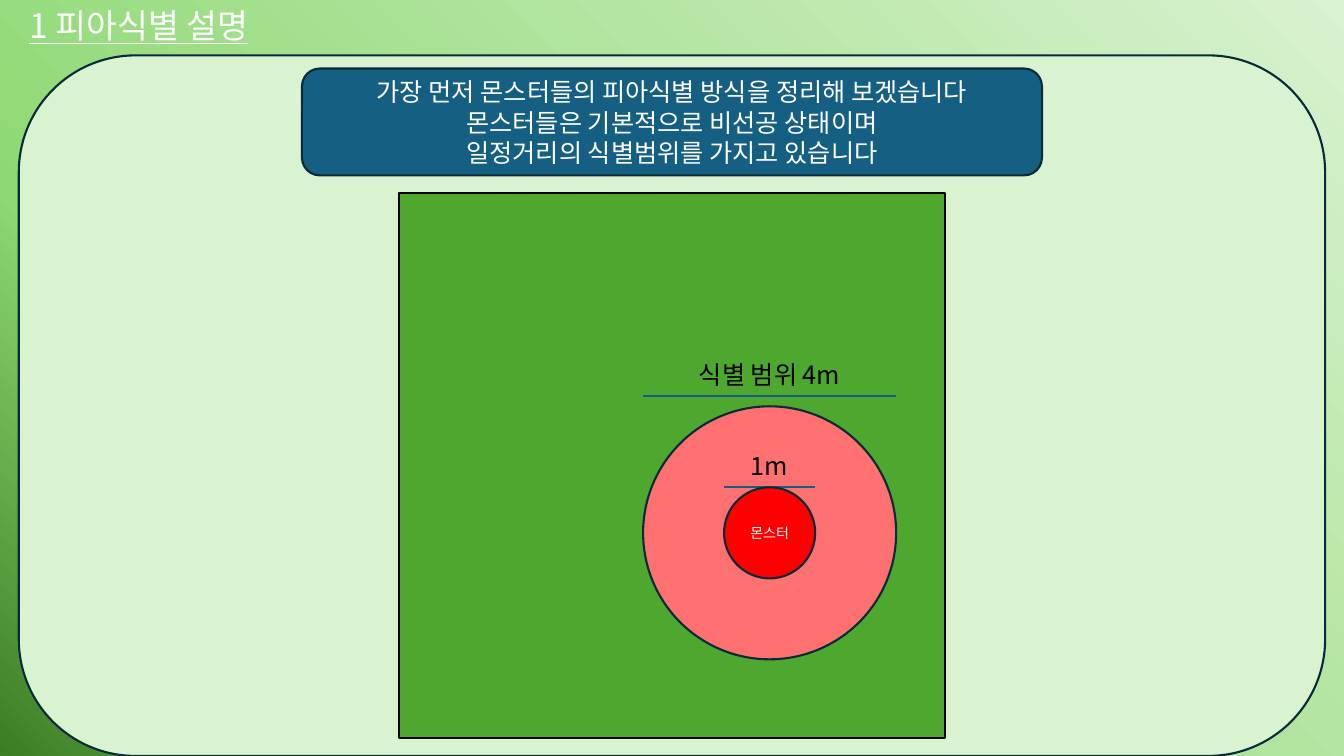
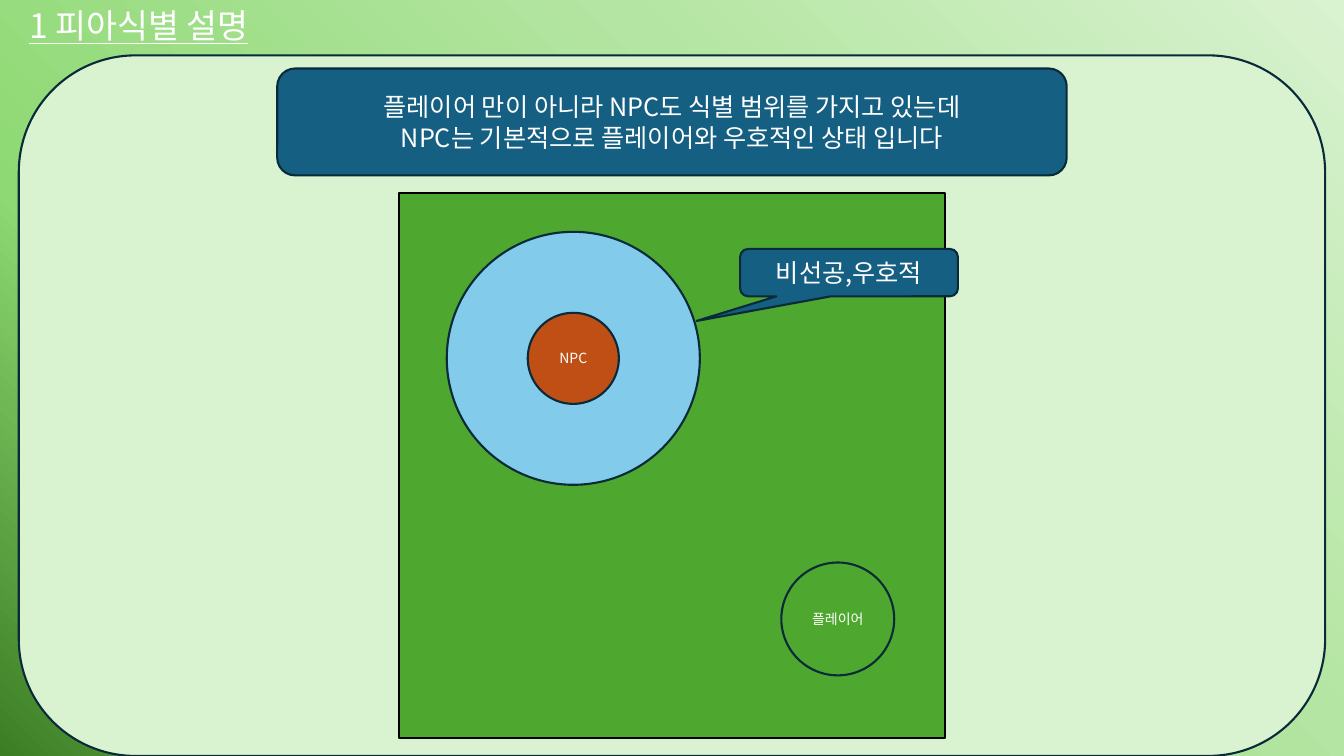
from copy import deepcopy
from dataclasses import dataclass

from lxml import etree
from pptx import Presentation
from pptx.dml.color import RGBColor
from pptx.enum.shapes import MSO_CONNECTOR, MSO_SHAPE
from pptx.enum.text import MSO_ANCHOR, PP_ALIGN
from pptx.oxml.ns import qn
from pptx.util import Inches, Pt

RECT, ROUND, OVAL = MSO_SHAPE.RECTANGLE, MSO_SHAPE.ROUNDED_RECTANGLE, MSO_SHAPE.OVAL
CALLOUT = MSO_SHAPE.ROUNDED_RECTANGULAR_CALLOUT
STRAIGHT = MSO_CONNECTOR.STRAIGHT
LEFT, CENTER = PP_ALIGN.LEFT, PP_ALIGN.CENTER
TOP, MIDDLE = MSO_ANCHOR.TOP, MSO_ANCHOR.MIDDLE


@dataclass(frozen=True)
class Theme:
    font: str = "Noto Sans CJK KR"
    title_size: int = 24
    body_size: int = 18
    unit_size: int = 10
    line_width: float = 1.5
    white: str = "FFFFFF"
    black: str = "000000"
    outline: str = "092A39"
    accent: str = "156082"
    panel: str = "D9F2D0"
    field: str = "4EA72E"
    monster: str = "FF0000"
    monster_range: str = "FF7171"
    npc: str = "C04F15"
    npc_range: str = "83CBEB"
    backdrop: tuple = ((0, "3B7D23"), (27, "8ED973"), (65, "B4E5A2"), (100, "D9F2D0"))


@dataclass(frozen=True)
class Box:
    """A region in inches; inner boxes are placed in hundredths of its size."""
    x: float
    y: float
    w: float
    h: float

    def inner(self, x, y, w, h):
        return Box(self.x + self.w * x / 100, self.y + self.h * y / 100,
                   self.w * w / 100, self.h * h / 100)

    def centred(self, w, y, h):
        return self.inner((100 - w) / 2, y, w, h)

    def circle(self, cx, cy, size):
        d = self.w * size / 100
        return Box(self.x + self.w * cx / 100 - d / 2,
                   self.y + self.h * cy / 100 - d / 2, d, d)

    def emu(self):
        return [Inches(v) for v in (self.x, self.y, self.w, self.h)]


THEME = Theme()
SLIDE = Box(0, 0, 13.33, 7.5)
TITLE = SLIDE.inner(1.43, 0, 42.8, 6.67)
PANEL = SLIDE.centred(97.2, 7.33, 92.67)
FIELD = SLIDE.centred(40.58, 25.47, 72.13)
RANGE_SIZE, BODY_SIZE, PLAYER_SIZE = 46.4, 16.7, 20.7


def rgb(value):
    return RGBColor.from_string(value)


def write(sp, lines, size, color, align=CENTER, anchor=MIDDLE, underline=None):
    tf = sp.text_frame
    tf.word_wrap = True
    tf.vertical_anchor = anchor
    tf.text = "\n".join(lines)
    for p in tf.paragraphs:
        p.alignment = align
        font = p.font
        font.name, font.size, font.underline = THEME.font, Pt(size), underline
        font.color.rgb = rgb(color)
        latin = p._p.find(".//" + qn("a:latin"))
        east_asian = etree.Element(qn("a:ea"), typeface=THEME.font)
        latin.addnext(east_asian)


def draw(slide, kind, box, fill, line=THEME.outline, lines=(), size=THEME.body_size):
    sp = slide.shapes.add_shape(kind, *box.emu())
    sp.shadow.inherit = False
    sp.fill.solid()
    sp.fill.fore_color.rgb = rgb(fill)
    sp.line.color.rgb = rgb(line)
    sp.line.width = Pt(THEME.line_width)
    if lines:
        write(sp, lines, size, THEME.white)
    return sp


def add_label(slide, box, text, size, color, **style):
    sp = slide.shapes.add_textbox(*box.emu())
    write(sp, [text], size, color, anchor=TOP, **style)


def set_backdrop(master):
    fill = master.background.fill
    fill.gradient()
    fill.gradient_angle = 45
    stops = master._element.find(".//" + qn("a:gsLst"))
    model = deepcopy(stops[0])
    for old in list(stops):
        stops.remove(old)
    for position, color in THEME.backdrop:
        stop = deepcopy(model)
        stop.set("pos", str(position * 1000))
        for child in list(stop):
            stop.remove(child)
        etree.SubElement(stop, qn("a:srgbClr"), val=color)
        stops.append(stop)


def add_scene(prs, banner_width, banner_lines):
    """Add a slide with its title, panel, banner and playing field."""
    slide = prs.slides.add_slide(prs.slide_layouts[6])
    draw(slide, ROUND, PANEL, THEME.panel)
    draw(slide, ROUND, SLIDE.centred(banner_width, 9.07, 14.13), THEME.accent,
         lines=banner_lines)
    draw(slide, RECT, FIELD, THEME.field, THEME.black)
    add_label(slide, TITLE, "1 피아식별 설명", THEME.title_size, THEME.white,
              align=LEFT, underline=True)
    return slide


def add_dimension(slide, circle, gap, text):
    """Draw a width line above a circle, with its label on top."""
    y = circle.y - gap
    cxn = slide.shapes.add_connector(STRAIGHT, Inches(circle.x + circle.w), Inches(y),
                                     Inches(circle.x), Inches(y))
    cxn.line.color.rgb = rgb(THEME.accent)
    cxn.line.width = Pt(THEME.line_width)
    cxn._element.spPr.append(etree.Element(qn("a:effectLst")))
    label = Box(circle.x, y - 0.42, circle.w, 0.4).centred(72, 0, 100)
    add_label(slide, label, text, THEME.body_size, THEME.black)


def add_unit(slide, box, cx, cy, name, fill, range_fill, sizes=()):
    """Draw a unit inside its detection range, with optional (range, body) widths."""
    reach, body = (box.circle(cx, cy, size) for size in (RANGE_SIZE, BODY_SIZE))
    draw(slide, OVAL, reach, range_fill)
    for circle, gap, text in zip((reach, body), (0.1, 0), sizes):
        add_dimension(slide, circle, gap, text)
    draw(slide, OVAL, body, fill, lines=[name], size=THEME.unit_size)


def add_callout(slide, box, text):
    sp = draw(slide, CALLOUT, box, THEME.accent, lines=[text])
    sp.adjustments[0], sp.adjustments[1] = -0.7, 1.02


def monster_slide(prs):
    slide = add_scene(prs, 55.06, ["가장 먼저 몬스터들의 피아식별 방식을 정리해 보겠습니다",
                                   "몬스터들은 기본적으로 비선공 상태이며",
                                   "일정거리의 식별범위를 가지고 있습니다"])
    add_unit(slide, FIELD, 67.9, 62.4, "몬스터", THEME.monster, THEME.monster_range,
             ("식별 범위 4m", "1m"))


def npc_slide(prs):
    slide = add_scene(prs, 58.74, ["플레이어 만이 아니라 NPC도 식별 범위를 가지고 있는데",
                                   "NPC는 기본적으로 플레이어와 우호적인 상태 입니다"])
    add_unit(slide, FIELD, 31.9, 30.4, "NPC", THEME.npc, THEME.npc_range)
    add_callout(slide, FIELD.inner(62.5, 10.35, 39.93, 8.69), "비선공,우호적")
    draw(slide, OVAL, FIELD.circle(80.4, 78.2, PLAYER_SIZE), THEME.field,
         lines=["플레이어"], size=THEME.unit_size)


def main():
    prs = Presentation()
    prs.slide_width, prs.slide_height = Inches(SLIDE.w), Inches(SLIDE.h)
    set_backdrop(prs.slide_master)
    monster_slide(prs)
    npc_slide(prs)
    prs.save("out.pptx")


if __name__ == "__main__":
    main()
